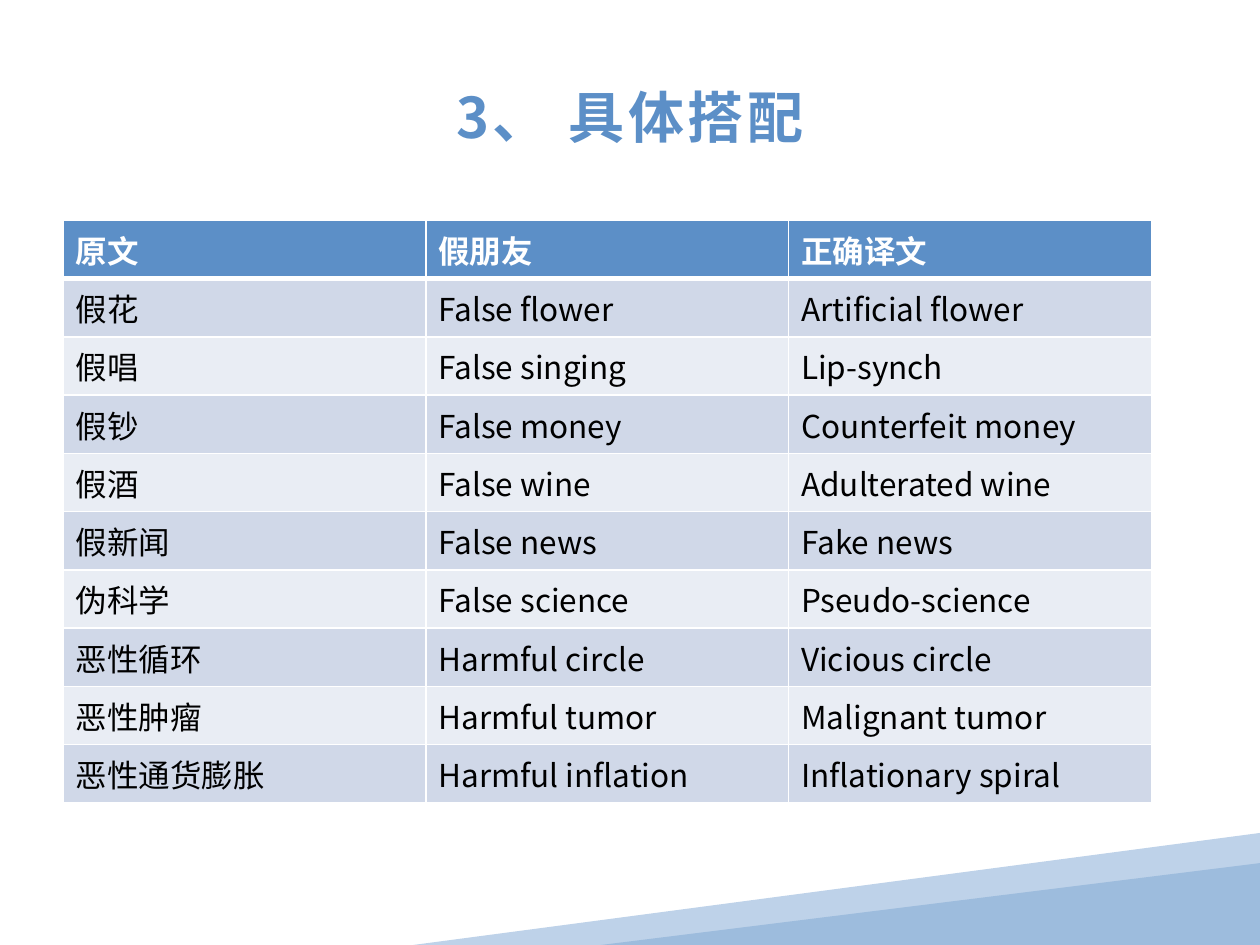
from lxml import etree
from pptx import Presentation
from pptx.dml.color import RGBColor
from pptx.enum.shapes import MSO_SHAPE
from pptx.enum.text import MSO_ANCHOR, MSO_AUTO_SIZE, PP_ALIGN
from pptx.oxml.ns import qn
from pptx.util import Pt

TRIANGLE = MSO_SHAPE.ISOSCELES_TRIANGLE
MIDDLE = MSO_ANCHOR.MIDDLE
CENTER = PP_ALIGN.CENTER
NO_AUTOFIT = MSO_AUTO_SIZE.NONE

THEME = {
    "font": "Noto Sans CJK SC",
    "title_size": 32,
    "cell_size": 18,
    "accent": "5C8FC7",
    "text": "000000",
    "white": "FFFFFF",
    "bands": ("D0D8E8", "E9EDF4"),
    "wedge_back": "BED2E9",
    "wedge_front": "9DBCDD",
}

ROWS = [
    ("原文", "假朋友", "正确译文"),
    ("假花", "False flower", "Artificial flower"),
    ("假唱", "False singing", "Lip-synch"),
    ("假钞", "False money", "Counterfeit money"),
    ("假酒", "False wine", "Adulterated wine"),
    ("假新闻", "False news", "Fake news"),
    ("伪科学", "False science", "Pseudo-science"),
    ("恶性循环", "Harmful circle", "Vicious circle"),
    ("恶性肿瘤", "Harmful tumor", "Malignant tumor"),
    ("恶性通货膨胀", "Harmful inflation", "Inflationary spiral"),
]


def style_text(paragraph, size, color, bold, spacing=0):
    font = paragraph.font
    font.size, font.bold, font.name = Pt(size), bold, THEME["font"]
    font.color.rgb = RGBColor.from_string(color)
    properties = paragraph._p.pPr.find(qn("a:defRPr"))
    etree.SubElement(properties, qn("a:ea"), typeface=THEME["font"])
    if spacing:
        properties.set("spc", str(spacing * 100))


def add_border(cell, side, width):
    line = etree.SubElement(cell._tc.get_or_add_tcPr(), qn(f"a:ln{side}"), w=str(Pt(width)))
    fill = etree.SubElement(line, qn("a:solidFill"))
    etree.SubElement(fill, qn("a:srgbClr"), val=THEME["white"])


prs = Presentation()
prs.slide_width, prs.slide_height = Pt(720), Pt(540)
slide = prs.slides.add_slide(prs.slide_layouts[5])

# Corner wedges
outline = slide.shapes.build_freeform(Pt(720), Pt(476))
outline.add_line_segments(
    [(Pt(x), Pt(y)) for x, y in ((720, 535.7), (484.6, 540), (236.2, 540))], close=True)
back_wedge = outline.convert_to_shape()
front_wedge = slide.shapes.add_shape(TRIANGLE, Pt(343.4), Pt(493.2), Pt(376.6), Pt(46.8))
front_wedge.adjustments[0] = 1
for wedge, color in ((back_wedge, THEME["wedge_back"]), (front_wedge, THEME["wedge_front"])):
    wedge.shadow.inherit = False
    wedge.fill.solid()
    wedge.fill.fore_color.rgb = RGBColor.from_string(color)
    wedge.line.fill.background()

# Title
title = slide.shapes.title
title.left, title.top, title.width, title.height = Pt(36), Pt(21.6), Pt(648), Pt(90)
title.text_frame.text = "3、 具体搭配"
title.text_frame.auto_size = NO_AUTOFIT
title.text_frame.vertical_anchor = MIDDLE
heading = title.text_frame.paragraphs[0]
heading.alignment = CENTER
style_text(heading, THEME["title_size"], THEME["accent"], True, spacing=2)

# Collocation table
collocations = slide.shapes.add_table(
    len(ROWS), len(ROWS[0]), Pt(36), Pt(126), Pt(622), Pt(292)).table
for r, words in enumerate(ROWS):
    header = r == 0
    fill_color = THEME["accent"] if header else THEME["bands"][(r - 1) % 2]
    for c, word in enumerate(words):
        cell = collocations.cell(r, c)
        cell.text = word
        style_text(cell.text_frame.paragraphs[0], THEME["cell_size"],
                   THEME["white"] if header else THEME["text"], header)
        # The rule under the header is heavier
        widths = {"L": 1, "R": 1, "T": 3 if r == 1 else 1, "B": 3 if header else 1}
        for side, width in widths.items():
            add_border(cell, side, width)
        cell.fill.solid()
        cell.fill.fore_color.rgb = RGBColor.from_string(fill_color)

prs.save("out.pptx")
